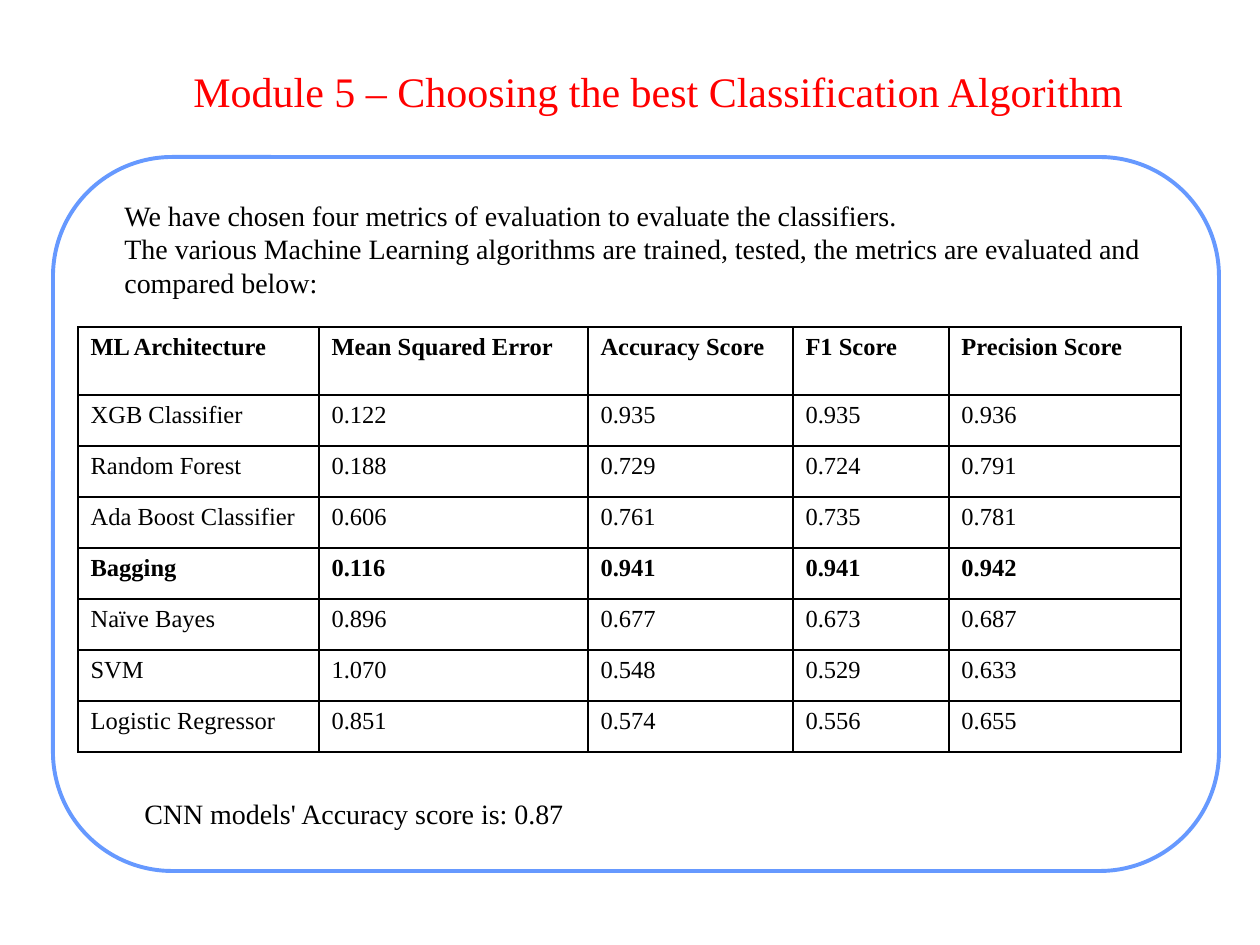
import dataclasses

import pptx
import pptx.dml.color
import pptx.enum.shapes
import pptx.enum.text
import pptx.oxml
import pptx.oxml.ns
import pptx.util

PX_PER_INCH = 126
FONT = "Times New Roman"
BLACK, WHITE, RED, BLUE = "000000", "FFFFFF", "FF0000", "6699FF"

COLUMN_WIDTHS = [241, 269, 205, 156, 232]
HEADER_HEIGHT, ROW_HEIGHT = 68, 51


@dataclasses.dataclass
class TextBlock:
    left: int
    top: int
    width: int
    height: int
    lines: list[str]
    size: int = 16
    color: str = BLACK
    align: pptx.enum.text.PP_ALIGN = pptx.enum.text.PP_ALIGN.LEFT
    anchor: pptx.enum.text.MSO_ANCHOR = pptx.enum.text.MSO_ANCHOR.TOP


@dataclasses.dataclass
class Row:
    name: str
    values: list[str]
    bold: bool = False


TEXT_BLOCKS = [
    TextBlock(154, 38, 1019, 106,
              ["Module 5 – Choosing the best Classification Algorithm "],
              24, RED, pptx.enum.text.PP_ALIGN.CENTER, pptx.enum.text.MSO_ANCHOR.MIDDLE),
    TextBlock(112, 192, 1102, 183,
              ["We have chosen four metrics of evaluation to evaluate the classifiers.",
               "The various Machine Learning algorithms are trained, tested, "
               "the metrics are evaluated and compared below:"]),
    TextBlock(132, 790, 1061, 47, ["CNN models' Accuracy score is: 0.87"]),
]

ROWS = [
    Row("ML Architecture",
        ["Mean Squared Error", "Accuracy Score", "F1 Score", "Precision Score"], True),
    Row("XGB Classifier", ["0.122", "0.935", "0.935", "0.936"]),
    Row("Random Forest", ["0.188", "0.729", "0.724", "0.791"]),
    Row("Ada Boost Classifier", ["0.606", "0.761", "0.735", "0.781"]),
    Row("Bagging", ["0.116", "0.941", "0.941", "0.942"], True),
    Row("Naïve Bayes", ["0.896", "0.677", "0.673", "0.687"]),
    Row("SVM", ["1.070", "0.548", "0.529", "0.633"]),
    Row("Logistic Regressor", ["0.851", "0.574", "0.556", "0.655"]),
]


def px(n: int) -> int:
    return pptx.util.Emu(round(n * 914400 / PX_PER_INCH))


def rgb(color: str) -> pptx.dml.color.RGBColor:
    return pptx.dml.color.RGBColor.from_string(color)


def add_run(p, text: str, size: int, color: str = BLACK, bold: bool = False) -> None:
    r = p.add_run()
    r.text = text
    r.font.name = FONT
    r.font.size = pptx.util.Pt(size)
    r.font.bold = bold
    r.font.color.rgb = rgb(color)


def add_frame(s) -> None:
    """Draw the rounded outline around the slide's content."""
    frame = s.shapes.add_shape(pptx.enum.shapes.MSO_SHAPE.ROUNDED_RECTANGLE,
                               px(53), px(157), px(1166), px(714))
    frame.adjustments[0] = 0.167
    frame.shadow.inherit = False
    frame.fill.solid()
    frame.fill.fore_color.rgb = rgb(WHITE)
    frame.line.color.rgb = rgb(BLUE)
    frame.line.width = pptx.util.Pt(2.25)


def add_text(s, block: TextBlock) -> None:
    box = s.shapes.add_textbox(px(block.left), px(block.top),
                               px(block.width), px(block.height))
    tf = box.text_frame
    tf.word_wrap = True
    tf.vertical_anchor = block.anchor
    for i, line in enumerate(block.lines):
        p = tf.add_paragraph() if i else tf.paragraphs[0]
        p.alignment = block.align
        add_run(p, line, block.size, block.color)


def set_borders(cell, color: str, width: int) -> None:
    tc_pr = cell._tc.get_or_add_tcPr()
    for i, side in enumerate(("lnL", "lnR", "lnT", "lnB")):
        tc_pr.insert(i, pptx.oxml.parse_xml(
            f'<a:{side} {pptx.oxml.ns.nsdecls("a")} w="{pptx.util.Pt(width)}">'
            f'<a:solidFill><a:srgbClr val="{color}"/></a:solidFill></a:{side}>'))


def add_metrics_table(s, left: int, top: int) -> None:
    heights = [HEADER_HEIGHT] + [ROW_HEIGHT] * (len(ROWS) - 1)
    table = s.shapes.add_table(len(ROWS), len(COLUMN_WIDTHS), px(left), px(top),
                               px(sum(COLUMN_WIDTHS)), px(sum(heights))).table
    table.first_row = table.horz_banding = False
    for column, width in zip(table.columns, COLUMN_WIDTHS):
        column.width = px(width)
    for table_row, row, height in zip(table.rows, ROWS, heights):
        table_row.height = px(height)
        for cell, text in zip(table_row.cells, [row.name, *row.values]):
            cell.fill.background()
            set_borders(cell, BLACK, 1)
            add_run(cell.text_frame.paragraphs[0], text, 14, bold=row.bold)


def main() -> None:
    prs = pptx.Presentation()
    prs.slide_width, prs.slide_height = px(1260), px(945)
    s = prs.slides.add_slide(prs.slide_layouts[6])
    title, intro, result = TEXT_BLOCKS
    add_frame(s)
    add_text(s, title)
    add_text(s, intro)
    add_metrics_table(s, 78, 327)
    add_text(s, result)
    prs.save("out.pptx")


if __name__ == "__main__":
    main()
